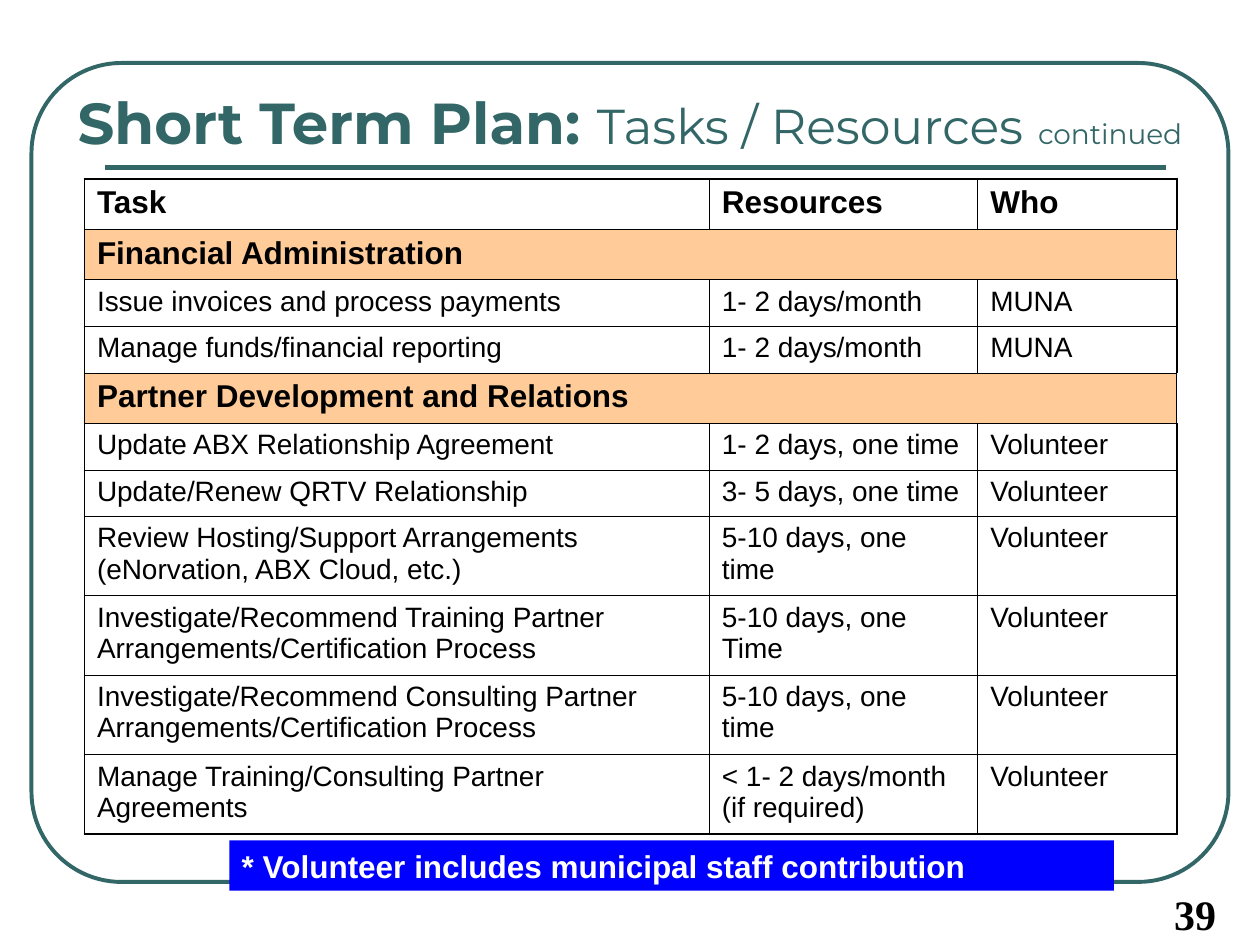
"""Build the short term plan slide with its task and resource table."""
import lxml.etree
import pptx
import pptx.dml.color
import pptx.enum.shapes
import pptx.enum.text
import pptx.oxml
import pptx.oxml.ns
import pptx.util

Inches = pptx.util.Inches
Pt = pptx.util.Pt
ALIGN = pptx.enum.text.PP_ALIGN
ANCHOR = pptx.enum.text.MSO_ANCHOR

TEAL, BLACK, WHITE, BLUE, PEACH = "336666", "000000", "FFFFFF", "0000FF", "FFCC99"
THIN, THICK = 0.45, 1.08
COLUMN_WIDTHS = (4.96, 2.13, 1.58)
HEADING_HEIGHT, LINE_HEIGHT, DOUBLE_HEIGHT = 0.4, 0.37, 0.63
HEADING = {"size": Pt(18), "bold": True, "name": "Arial"}
BODY = {"size": Pt(16), "bold": False, "name": "Arial"}

ROWS = [
    (HEADING_HEIGHT, ("Task", "Resources", "Who")),
    (HEADING_HEIGHT, ("Financial Administration",)),
    (LINE_HEIGHT, ("Issue invoices and process payments", "1- 2 days/month", "MUNA")),
    (LINE_HEIGHT, ("Manage funds/financial reporting", "1- 2 days/month", "MUNA")),
    (HEADING_HEIGHT, ("Partner Development and Relations",)),
    (LINE_HEIGHT, ("Update ABX Relationship Agreement", "1- 2 days, one time", "Volunteer")),
    (LINE_HEIGHT, ("Update/Renew QRTV Relationship", "3- 5 days, one time", "Volunteer")),
    (DOUBLE_HEIGHT, ("Review Hosting/Support Arrangements (eNorvation, ABX Cloud, etc.)",
                     "5-10 days, one time", "Volunteer")),
    (DOUBLE_HEIGHT, ("Investigate/Recommend Training Partner Arrangements/Certification Process",
                     "5-10 days, one Time", "Volunteer")),
    (DOUBLE_HEIGHT, ("Investigate/Recommend Consulting Partner Arrangements/Certification Process",
                     "5-10 days, one time", "Volunteer")),
    (DOUBLE_HEIGHT, ("Manage Training/Consulting Partner Agreements",
                     "< 1- 2 days/month (if required)", "Volunteer")),
]


def color(value):
    """Return the colour of a hex string."""
    return pptx.dml.color.RGBColor.from_string(value)


def box(left, top, width, height):
    """Return a position and size in inches."""
    return [Inches(value) for value in (left, top, width, height)]


def apply_values(target, values):
    """Set attributes of an object from a dict."""
    for name, value in values.items():
        setattr(target, name, value)


def add_run(paragraph, text, font_color, values):
    """Add a formatted run to a paragraph."""
    run = paragraph.add_run()
    run.text = text
    apply_values(run.font, values)
    run.font.color.rgb = color(font_color)


def add_frame(slide):
    """Draw the rounded frame and the rule below the title."""
    frame = slide.shapes.add_shape(
        pptx.enum.shapes.MSO_SHAPE.ROUNDED_RECTANGLE, *box(0.25, 0.5, 9.5, 6.5))
    frame.adjustments[0] = 0.11
    frame.shadow.inherit = False
    frame.fill.background()
    rule = slide.shapes.add_connector(
        pptx.enum.shapes.MSO_CONNECTOR.STRAIGHT, *box(0.83, 1.33, 9.25, 1.33))
    lxml.etree.SubElement(rule._element.spPr, pptx.oxml.ns.qn("a:effectLst"))
    for shape, width in ((frame, 2.25), (rule, 3)):
        shape.line.color.rgb = color(TEAL)
        shape.line.width = Pt(width)


def format_title(slide):
    """Place the title and write its runs."""
    title = slide.shapes.title
    apply_values(title, dict(zip(("left", "top", "width", "height"), box(0, 0.67, 10, 0.58))))
    apply_values(title.text_frame, {
        "word_wrap": True, "vertical_anchor": ANCHOR.MIDDLE,
        "auto_size": pptx.enum.text.MSO_AUTO_SIZE.NONE})
    paragraph = title.text_frame.paragraphs[0]
    paragraph.alignment = ALIGN.CENTER
    for text, size, bold in (("Short Term Plan: ", 33, True), ("Tasks / Resources", 28, False),
                             (" ", 33, False), ("continued", 16, False)):
        add_run(paragraph, text, TEAL, {"size": Pt(size), "bold": bold, "name": "Montserrat"})


def set_borders(cell, widths):
    """Give a cell black borders in the order left, right, top, bottom."""
    properties = cell._tc.get_or_add_tcPr()
    for index, (side, width) in enumerate(zip("LRTB", widths)):
        properties.insert(index, pptx.oxml.parse_xml(
            f'<a:ln{side} {pptx.oxml.ns.nsdecls("a")} w="{Pt(width)}"><a:solidFill>'
            f'<a:srgbClr val="{BLACK}"/></a:solidFill></a:ln{side}>'))


def write_cell(cell, text, values):
    """Write text into a table cell."""
    paragraph = cell.text_frame.paragraphs[0]
    paragraph.space_before = values["size"] // 4
    add_run(paragraph, text, BLACK, values)


def add_task_table(slide):
    """Add the table of tasks, resources and people."""
    last_row, last_column = len(ROWS) - 1, len(COLUMN_WIDTHS) - 1
    shape = slide.shapes.add_table(
        len(ROWS), len(COLUMN_WIDTHS), *box(0.67, 1.42, sum(COLUMN_WIDTHS), 5.2))
    table = shape.table
    apply_values(table, {"first_row": False, "horz_banding": False})
    for column, width in zip(table.columns, COLUMN_WIDTHS):
        column.width = Inches(width)
    for row_index, (height, texts) in enumerate(ROWS):
        table.rows[row_index].height = Inches(height)
        section = len(texts) == 1
        for column_index in range(len(COLUMN_WIDTHS)):
            cell = table.cell(row_index, column_index)
            if section:
                cell.fill.solid()
                cell.fill.fore_color.rgb = color(PEACH)
            else:
                cell.fill.background()
            outer = (column_index == 0, column_index == last_column,
                     row_index == 0, row_index == last_row)
            set_borders(cell, [THICK if edge else THIN for edge in outer])
        if section:
            table.cell(row_index, 0).merge(table.cell(row_index, last_column))
        for column_index, text in enumerate(texts):
            write_cell(table.cell(row_index, column_index), text,
                       HEADING if height == HEADING_HEIGHT else BODY)


def add_note(slide):
    """Add the blue note below the table."""
    note = slide.shapes.add_shape(
        pptx.enum.shapes.MSO_SHAPE.RECTANGLE, *box(1.82, 6.67, 7.02, 0.4))
    note.shadow.inherit = False
    note.fill.solid()
    note.fill.fore_color.rgb = color(BLUE)
    note.line.fill.background()
    apply_values(note.text_frame, {"word_wrap": True, "vertical_anchor": ANCHOR.TOP})
    paragraph = note.text_frame.paragraphs[0]
    paragraph.alignment = ALIGN.LEFT
    add_run(paragraph, "* Volunteer includes municipal staff contribution", WHITE, HEADING)


def add_page_number(slide):
    """Add the page number in the lower right corner."""
    text_frame = slide.shapes.add_textbox(*box(8.75, 7, 1, 0.5)).text_frame
    text_frame.word_wrap = True
    paragraph = text_frame.paragraphs[0]
    paragraph.alignment = ALIGN.RIGHT
    add_run(paragraph, "39", BLACK, {"size": Pt(24), "bold": True, "name": "Times New Roman"})


def main():
    """Build and save the presentation."""
    presentation = pptx.Presentation()
    apply_values(presentation, {"slide_width": Inches(10), "slide_height": Inches(7.5)})
    slide = presentation.slides.add_slide(presentation.slide_layouts[5])
    add_frame(slide)
    format_title(slide)
    add_task_table(slide)
    add_note(slide)
    add_page_number(slide)
    presentation.save("out.pptx")


if __name__ == "__main__":
    main()
